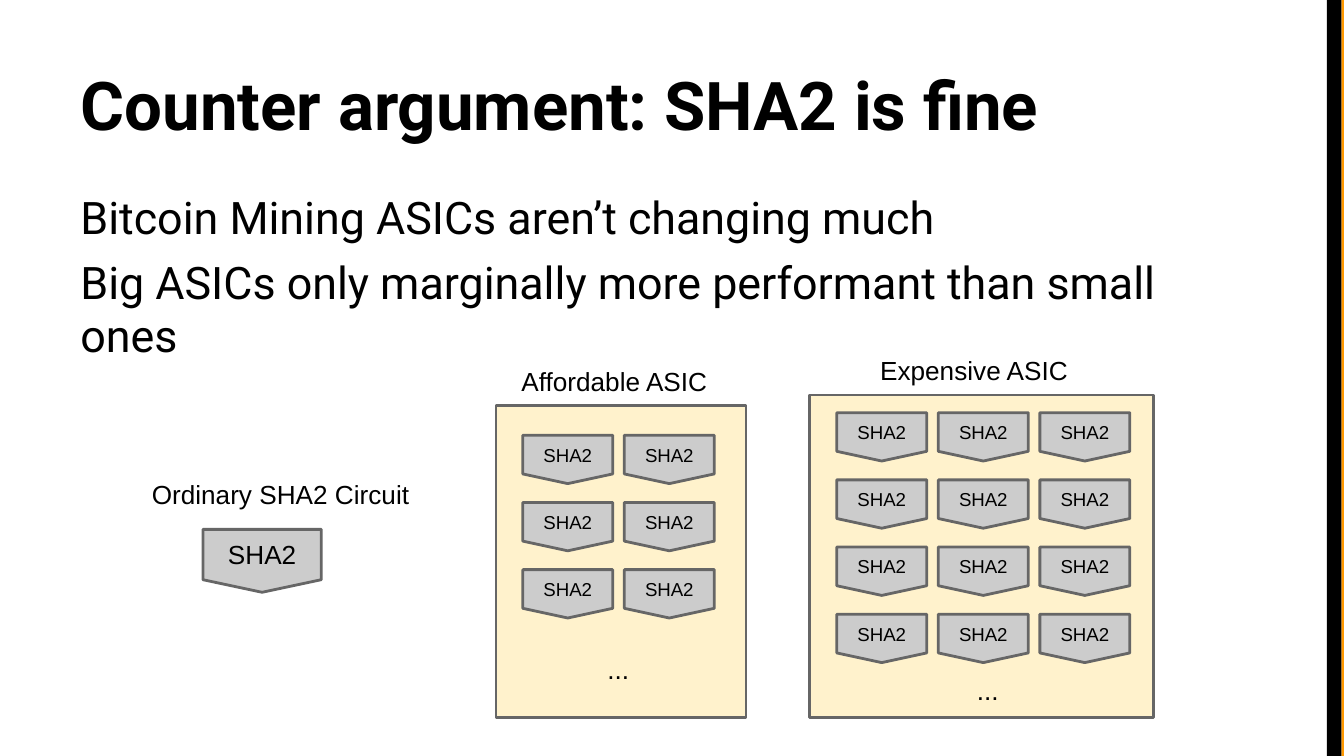
import pptx
import pptx.util
import pptx.dml.color
import pptx.enum.shapes
import pptx.enum.text

Pt = pptx.util.Pt
SHAPE = pptx.enum.shapes.MSO_SHAPE
ALIGN = pptx.enum.text.PP_ALIGN
ANCHOR = pptx.enum.text.MSO_ANCHOR
COLORS = {"ink": "000000", "accent": "FF9900", "panel": "FFF2CC",
          "chip": "CCCCCC", "edge": "666666"}


def paint(name):
    """Return the named colour."""
    return pptx.dml.color.RGBColor.from_string(COLORS[name])


def write(shape, lines, size, face="Arial", bold=False, align=ALIGN.LEFT,
          anchor=ANCHOR.TOP, gap=0):
    """Write lines of text into a shape."""
    frame = shape.text_frame
    inset = Pt(7.2)
    style = {"word_wrap": True, "auto_size": pptx.enum.text.MSO_AUTO_SIZE.NONE,
             "vertical_anchor": anchor, "margin_left": inset, "margin_right": inset,
             "margin_top": inset, "margin_bottom": inset}
    for key, value in style.items():
        setattr(frame, key, value)
    frame.text = "\n".join(lines)
    for index, para in enumerate(frame.paragraphs):
        para.alignment = align
        para.space_before = Pt(gap if index else 0)
        for key, value in {"size": Pt(size), "name": face, "bold": bold}.items():
            setattr(para.font, key, value)
        para.font.color.rgb = paint("ink")


def block(slide, kind, box, fill, edge=None):
    """Draw a filled shape in a box."""
    shape = slide.shapes.add_shape(kind, *map(Pt, box))
    shape.shadow.inherit = False
    shape.fill.solid()
    shape.fill.fore_color.rgb = paint(fill)
    if edge:
        shape.line.color.rgb = paint(edge)
        shape.line.width = Pt(1.5)
    else:
        shape.line.fill.background()
    return shape


def label(slide, box, lines, size=14, **style):
    """Add a text box."""
    write(slide.shapes.add_textbox(*map(Pt, box)), lines, size, **style)


def chip(slide, box, size):
    """Draw one hash circuit."""
    shape = block(slide, SHAPE.FLOWCHART_OFFPAGE_CONNECTOR, box, "chip", "edge")
    write(shape, ["SHA2"], size, align=ALIGN.CENTER, anchor=ANCHOR.MIDDLE)


def edge(slide, box):
    """Draw the two bars of the right margin."""
    left, top, width, height = box
    thin = 1.4
    block(slide, SHAPE.RECTANGLE, (left + width - thin, top, thin, height), "accent")
    block(slide, SHAPE.RECTANGLE, (left, top, width - thin, height), "ink")


def head(slide, box):
    """Place the title."""
    title = slide.shapes.title
    for key, value in zip(("left", "top", "width", "height"), box):
        setattr(title, key, Pt(value))
    write(title, ["Counter argument: SHA2 is fine"], 36, face="Roboto",
          bold=True, anchor=ANCHOR.BOTTOM)


def body(slide, box):
    """Place the two statements."""
    label(slide, box, ["Bitcoin Mining ASICs aren’t changing much",
                       "Big ASICs only marginally more performant than small ones"],
          24, face="Roboto", gap=6)


def plain(slide, box):
    """Draw the single circuit under its name."""
    left, top, width, height = box
    label(slide, (left, top, width, 36), ["Ordinary SHA2 Circuit"])
    chip(slide, (left + 34.5, top + 34.5, 63.4, height - 34.5), 14)


def asic(slide, box, name, rows, cols, inset, shift, dots):
    """Draw a panel with a grid of circuits, its name above and dots below."""
    left, top, width, height = box
    block(slide, SHAPE.RECTANGLE, box, "panel", "edge")
    for row in range(rows):
        for col in range(cols):
            chip(slide, (left + 14.4 + col * 54.4, top + inset + row * 36,
                         48.2, 25.9), 10)
    label(slide, (left + dots[0], top + dots[1], 34.6, 36), ["..."])
    label(slide, (left + shift, top - 28.8, 128.2, 36), [name])


def main():
    """Build the slide."""
    deck = pptx.Presentation()
    deck.slide_width, deck.slide_height = Pt(720), Pt(405)
    slide = deck.slides.add_slide(deck.slide_layouts[5])
    edge(slide, (710.8, 0, 9.2, 405))
    head(slide, (36, 16.5, 648, 67.7))
    body(slide, (36, 94.3, 648, 293))
    plain(slide, (74.2, 249.1, 157.7, 68.2))
    asic(slide, (265.7, 217.4, 134, 167), "Affordable ASIC", 3, 2, 15.8, 6.5,
         (52.6, 125.3))
    asic(slide, (433.9, 211.7, 184.3, 172.8), "Expensive ASIC", 4, 3, 9.4, 30.5,
         (82.3, 142.6))
    deck.save("out.pptx")


if __name__ == "__main__":
    main()
